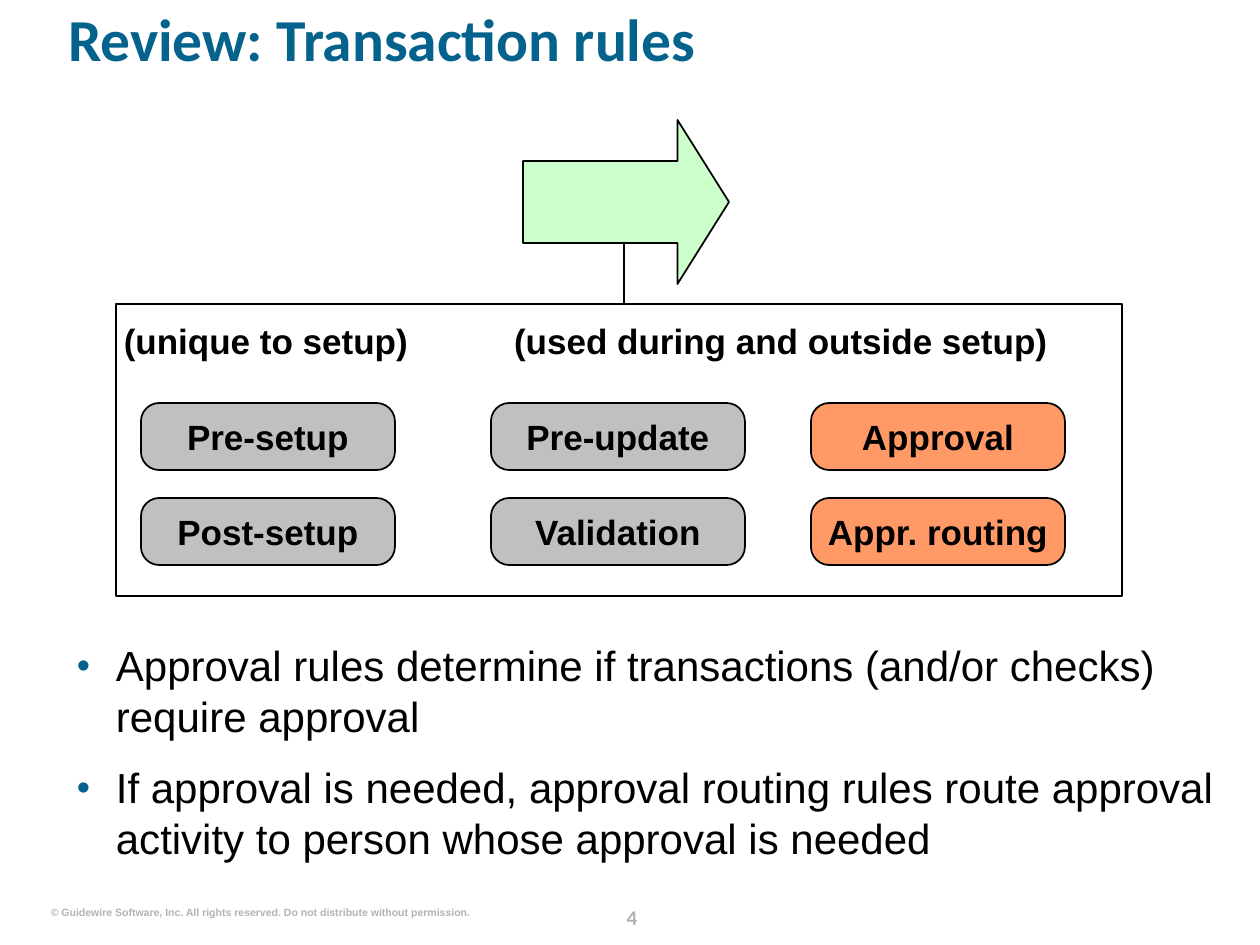
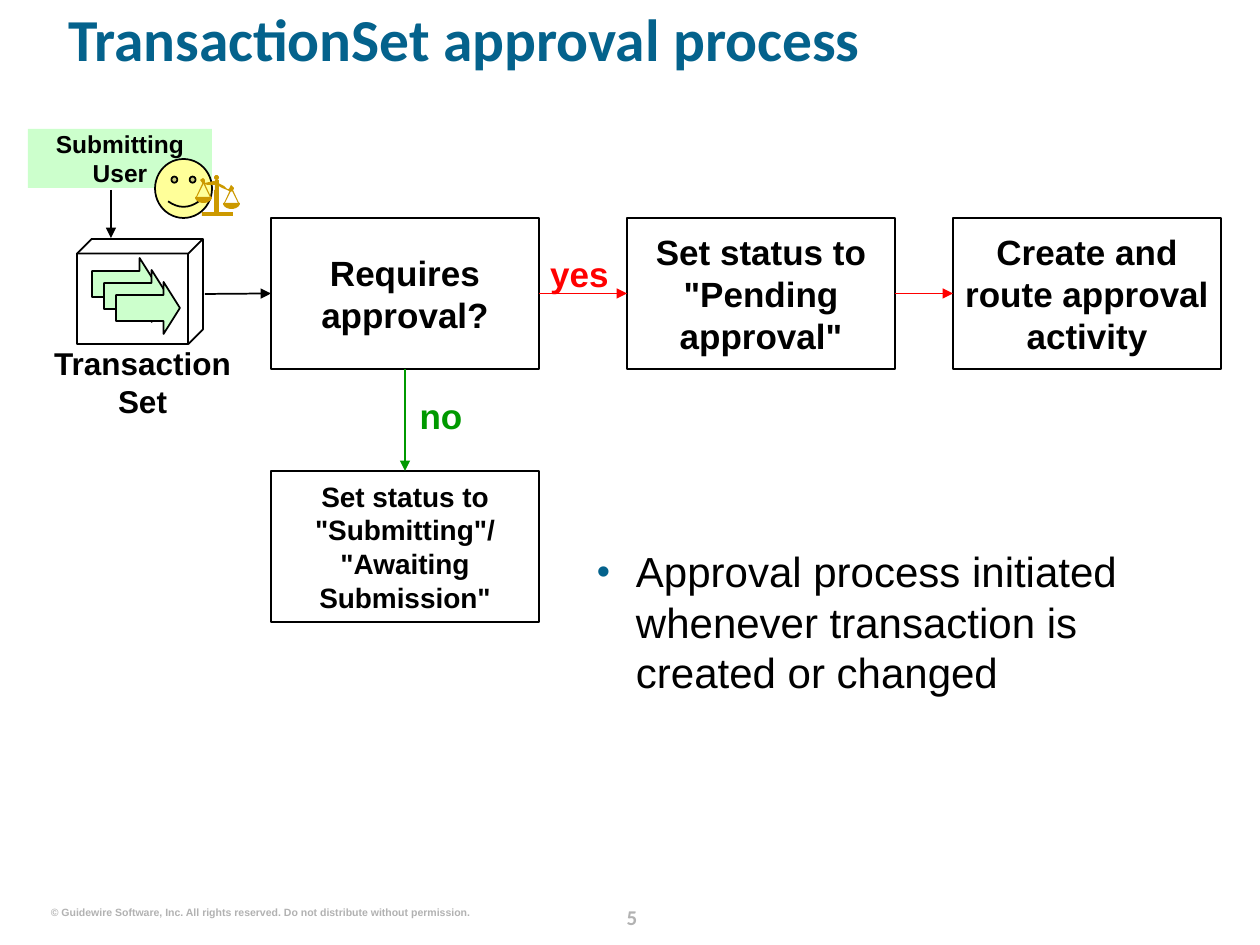
"""Build two slides on transaction rules and the approval process."""
import math

from lxml import etree
from pptx import Presentation
from pptx import util as u
from pptx.dml.color import RGBColor
from pptx.enum import shapes, text
from pptx.oxml.ns import qn

SCALE = 914400 / 126
BLACK, BLUE, GRAY, ORANGE = "000000", "04628C", "C0C0C0", "FF9966"
MINT, YELLOW, GOLD = "CCFFCC", "FFFF99", "CC9900"
RED, GREEN, FOOTER_GRAY = "FF0000", "009900", "B2B2B2"
SHAPE, ALIGN, ANCHOR = shapes.MSO_SHAPE, text.PP_ALIGN, text.MSO_ANCHOR
COPYRIGHT = "© Guidewire Software, Inc. All rights reserved. Do not distribute without permission."

RULES_TITLE = "Review: Transaction rules"
RULE_COLUMNS = [
    (141, GRAY, ["Pre-setup", "Post-setup"]),
    (491, GRAY, ["Pre-update", "Validation"]),
    (811, ORANGE, ["Approval", "Appr. routing"]),
]
RULE_HEADINGS = [
    ("(unique to setup)", (115, 319, 302, 42)),
    ("(used during and outside setup)", (504, 319, 554, 42)),
]
RULE_BULLETS = [
    "Approval rules determine if transactions (and/or checks) require approval",
    "If approval is needed, approval routing rules route approval activity to person whose approval is needed",
]

PROCESS_TITLE = "TransactionSet approval process"
PROCESS_STEPS = {
    "check": ("Requires approval?", 271, 218, 20),
    "pending": ('Set status to "Pending approval"', 627, 218, 20),
    "activity": ("Create and route approval activity", 953, 218, 20),
    "submitting": ('Set status to "Submitting"/\n"Awaiting Submission"', 271, 471, 16),
}
PROCESS_LINKS = [
    ("check", 3, "pending", 1, RED),
    ("pending", 3, "activity", 1, RED),
    ("check", 2, "submitting", 0, GREEN),
]
PROCESS_LABELS = [
    ("yes", (538, 252, 83, 42), 20, RED),
    ("no", (415, 394, 52, 42), 20, GREEN),
    ("Transaction\nSet", (50, 344, 185, 76), 18, BLACK),
]
PROCESS_BULLETS = ["Approval process initiated whenever transaction is created or changed"]

BEAM = [
    (234, 188), (231, 185), (229, 189), (227, 189), (224, 186), (220, 184), (214, 181),
    (210, 182), (205, 183), (205, 180), (203, 178), (200, 180), (203, 184), (208, 185),
    (217, 185), (222, 188), (227, 190), (231, 192), (234, 189),
]
PANS = [(195, 197), (223, 203)]
PAN_WIDTH, PAN_DEPTH = 17, 6
STRING = [(1, 0), (2, 0), (9, -14), (8, -15)]
STAND = [
    (SHAPE.RECTANGLE, (215, 180, 4, 14)),
    (SHAPE.RECTANGLE, (214, 190, 5, 23)),
    (SHAPE.OVAL, (214, 175, 5, 5)),
    (SHAPE.RECTANGLE, (202, 212, 31, 4)),
]


def px(*lengths):
    """Turn pixel lengths into a list of EMU lengths."""
    return [u.Emu(round(length * SCALE)) for length in lengths]


def rgb(value):
    """Turn a hex string into a colour."""
    return RGBColor.from_string(value)


def write_text(box, lines, size=20, color=BLACK, font="Arial", bold=True, align=ALIGN.CENTER,
               anchor=ANCHOR.MIDDLE, wrap=True, spacing=None, before=12, bullet=False, inset=0):
    """Fill a shape with paragraphs in one format."""
    frame = box.text_frame
    frame.auto_size = text.MSO_AUTO_SIZE.NONE
    frame.word_wrap = wrap
    frame.vertical_anchor = anchor
    frame.margin_left = frame.margin_right = px(inset)[0]
    frame.margin_top = frame.margin_bottom = 0
    for index, line in enumerate(lines):
        para = frame.add_paragraph() if index else frame.paragraphs[0]
        para.text = line
        para.alignment = align
        if spacing:
            para.line_spacing = spacing
        if index:
            para.space_before = u.Pt(before)
        if bullet:
            add_bullet(para)
        for span in para.runs:
            span.font.name, span.font.size, span.font.bold = font, u.Pt(size), bold
            span.font.color.rgb = rgb(color)


def add_bullet(para):
    """Give a paragraph a blue hanging bullet."""
    props = para._p.get_or_add_pPr()
    indent = px(39)[0]
    props.set("marL", str(indent))
    props.set("indent", str(-indent))
    color = etree.SubElement(props, qn("a:buClr"))
    etree.SubElement(color, qn("a:srgbClr"), val=BLUE)
    etree.SubElement(props, qn("a:buSzPct"), val="90000")
    etree.SubElement(props, qn("a:buFont"), typeface="Arial")
    etree.SubElement(props, qn("a:buChar"), char="•")


def add_label(page, lines, place, **style):
    """Add a text box."""
    box = page.shapes.add_textbox(*px(*place))
    write_text(box, lines, **style)
    return box


def paint(box, fill, line):
    """Set the fill and outline of a shape, either of which may be None."""
    box.shadow.inherit = False
    if fill:
        box.fill.solid()
        box.fill.fore_color.rgb = rgb(fill)
    else:
        box.fill.background()
    if line:
        box.line.color.rgb = rgb(line)
        box.line.width = u.Pt(1)
    else:
        box.line.fill.background()


def add_box(page, kind, place, fill=None, line=BLACK, adjust=()):
    """Add a preset shape."""
    box = page.shapes.add_shape(kind, *px(*place))
    paint(box, fill, line)
    for index, value in enumerate(adjust):
        box.adjustments[index] = value
    return box


def add_outline(page, points, fill):
    """Add a closed polygon without an outline."""
    corners = [px(*point) for point in points]
    builder = page.shapes.build_freeform(*corners[0])
    builder.add_line_segments(corners[1:], close=True)
    paint(builder.convert_to_shape(), fill, None)


def add_line(page, ends, color=BLACK, arrow=True):
    """Add a straight line, with an arrowhead if wanted."""
    line = page.shapes.add_connector(shapes.MSO_CONNECTOR.STRAIGHT, *px(*ends))
    line.line.color.rgb = rgb(color)
    line.line.width = u.Pt(1)
    props = line._element.spPr
    if arrow:
        etree.SubElement(props.find(qn("a:ln")), qn("a:tailEnd"), type="triangle")
    etree.SubElement(props, qn("a:effectLst"))
    return line


def add_transaction_arrow(page, place):
    """Add the block arrow that stands for a transaction."""
    add_box(page, SHAPE.RIGHT_ARROW, place, MINT, adjust=(0.5, 0.314))


def add_bullets(page, lines, place):
    """Add the bulleted body text."""
    add_label(page, lines, place, size=24, bold=False, align=ALIGN.LEFT,
              anchor=ANCHOR.TOP, bullet=True)


def start_page(deck, title, number):
    """Add a slide with its title and footers."""
    page = deck.slides.add_slide(deck.slide_layouts[5])
    box = page.shapes.title
    box.left, box.top, box.width, box.height = px(68, 16, 1147, 102)
    write_text(box, [title], size=34, color=BLUE, font="Calibri", align=ALIGN.LEFT,
               anchor=ANCHOR.TOP, spacing=0.8)
    add_label(page, [str(number)], (596, 898, 72, 32), size=12, color=FOOTER_GRAY,
              font="Calibri", anchor=ANCHOR.TOP, spacing=u.Pt(18))
    add_label(page, [COPYRIGHT], (50, 906, 420, 13), size=6, color=FOOTER_GRAY,
              align=ALIGN.RIGHT, anchor=ANCHOR.TOP, wrap=False)
    return page


def build_rules(deck):
    """Build the slide that reviews the rule sets."""
    page = start_page(deck, RULES_TITLE, 4)
    add_box(page, SHAPE.RECTANGLE, (116, 304, 1006, 292))
    add_line(page, (624, 304, 624, 242), arrow=False)
    add_transaction_arrow(page, (523, 120, 206, 164))
    for heading, place in RULE_HEADINGS:
        add_label(page, [heading], place)
    for left, fill, rules in RULE_COLUMNS:
        for row, rule in enumerate(rules):
            box = add_box(page, SHAPE.ROUNDED_RECTANGLE, (left, 403 + 95 * row, 254, 67),
                          fill, adjust=(0.273,))
            write_text(box, [rule])
    add_bullets(page, RULE_BULLETS, (77, 640, 1147, 238))


def add_scales(page):
    """Draw the balance scales beside the user."""
    add_outline(page, BEAM, GOLD)
    for left, top in PANS:
        half = PAN_WIDTH / 2
        angles = [math.pi * step / 12 for step in range(13)]
        add_outline(page, [(left + half + half * math.cos(angle),
                            top + PAN_DEPTH * math.sin(angle)) for angle in angles], GOLD)
        for mirrored in (False, True):
            add_outline(page, [(left + (PAN_WIDTH - x if mirrored else x), top + y)
                               for x, y in STRING], GOLD)
    for kind, place in STAND:
        add_box(page, kind, place, GOLD, None)


def build_process(deck):
    """Build the slide with the approval flow."""
    page = start_page(deck, PROCESS_TITLE, 5)
    add_bullets(page, PROCESS_BULLETS, (597, 546, 620, 242))
    for step in range(3):
        add_transaction_arrow(page, (92 + 12 * step, 258 + 12 * step, 64, 52))
    add_box(page, SHAPE.CUBE, (77, 239, 126, 105), adjust=(0.139,))
    steps = {}
    for name, (label, left, top, size) in PROCESS_STEPS.items():
        steps[name] = add_box(page, SHAPE.RECTANGLE, (left, top, 268, 151))
        write_text(steps[name], [label], size=size, inset=5)
    for source, source_side, target, target_side, color in PROCESS_LINKS:
        link = add_line(page, (0, 0, 0, 0), color)
        link.begin_connect(steps[source], source_side)
        link.end_connect(steps[target], target_side)
    add_line(page, (205, 294, 271, 294)).end_connect(steps["check"], 1)
    for label, place, size, color in PROCESS_LABELS:
        add_label(page, [label], place, size=size, color=color)
    user = add_box(page, SHAPE.RECTANGLE, (28, 129, 184, 59), MINT, None)
    write_text(user, ["Submitting User"], size=14, inset=10)
    add_box(page, SHAPE.SMILEY_FACE, (155, 159, 57, 59), YELLOW)
    add_scales(page)
    add_line(page, (111, 190, 111, 238))


def main():
    """Build and save the deck."""
    deck = Presentation()
    deck.slide_width, deck.slide_height = px(1260, 945)
    build_rules(deck)
    build_process(deck)
    deck.save("out.pptx")


if __name__ == "__main__":
    main()
